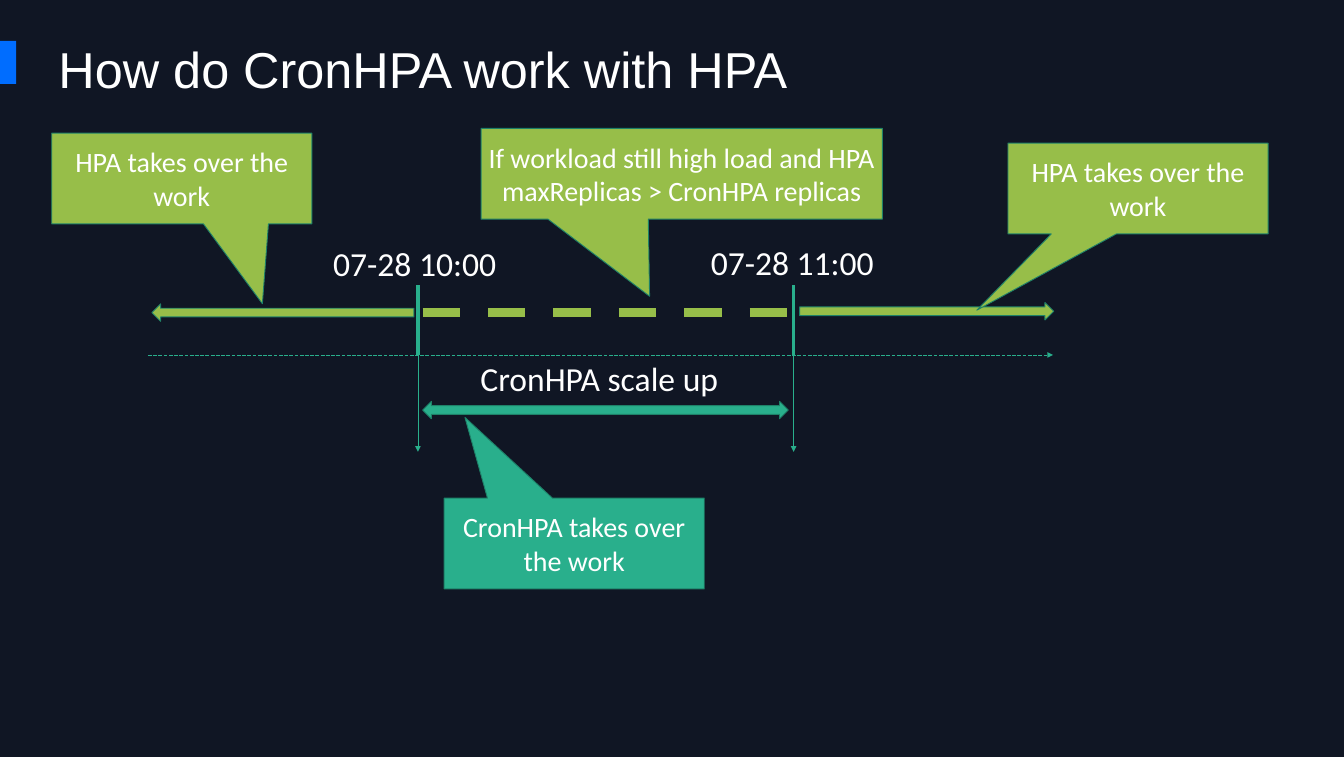
from dataclasses import dataclass

from lxml import etree
from pptx import Presentation
from pptx import util as u
from pptx.dml.color import RGBColor
from pptx.enum import dml, shapes, text
from pptx.oxml.ns import qn


@dataclass(frozen=True)
class Theme:
    background: RGBColor = RGBColor(0x10, 0x16, 0x24)
    accent: RGBColor = RGBColor(0x00, 0x6D, 0xFF)
    white: RGBColor = RGBColor(0xFF, 0xFF, 0xFF)
    hpa: RGBColor = RGBColor(0x97, 0xBE, 0x49)
    cron: RGBColor = RGBColor(0x29, 0xAF, 0x8C)
    outline: RGBColor = RGBColor(0x1E, 0x81, 0x68)
    title_font: str = "Arial"
    body_font: str = "Calibri"
    title_size: int = 54
    label_size: int = 36
    callout_size: int = 30


theme = Theme()
prs = Presentation()
prs.slide_width, prs.slide_height = u.Inches(20), u.Inches(11.26)
COL = prs.slide_width / 200    # grid of 200 columns
ROW = prs.slide_height / 112.6  # and 112.6 square rows


def grid(*cells):
    """Turn alternating column and row counts into lengths."""
    return [u.Emu(round(n * (ROW if i % 2 else COL))) for i, n in enumerate(cells)]


def write(sp, words, size, font=theme.body_font, align=None, anchor=None, wrap=True):
    tf = sp.text_frame
    tf.word_wrap = wrap
    tf.vertical_anchor = anchor
    p = tf.paragraphs[0]
    p.alignment = align
    r = p.add_run()
    r.text = words
    r.font.size, r.font.name = u.Pt(size), font
    r.font.color.rgb = theme.white


s = prs.slides.add_slide(prs.slide_layouts[5])
s.background.fill.solid()
s.background.fill.fore_color.rgb = theme.background

title = s.shapes.title
title.left, title.top, title.width, title.height = grid(7.7, 5.1, 155, 10.1)
write(title, "How do CronHPA work with HPA", theme.title_size, theme.title_font,
      text.PP_ALIGN.LEFT, text.MSO_ANCHOR.TOP)

# Time axis, the two schedule marks and the dashed stretch between them
START, END, AXIS = 62.2, 118.1, 52.8
dash = dml.MSO_LINE
lines = [((22, AXIS, 156.7, AXIS), theme.cron, 0.5, dash.LONG_DASH, True),
         ((62.9, 46.5, 117.3, 46.5), theme.hpa, 10, dash.DASH, False)]
for x in (START, END):
    lines += [((x, 42.4, x, AXIS), theme.cron, 4, None, False),
              ((x, AXIS, x, 67.2), theme.cron, 0.5, None, True)]
for ends, color, weight, style, arrow in lines:
    line = s.shapes.add_connector(shapes.MSO_CONNECTOR.STRAIGHT, *grid(*ends))
    line.line.color.rgb = color
    line.line.width = u.Pt(weight)
    line.line.dash_style = style
    if arrow:
        ln = line.line._get_or_add_ln()
        etree.SubElement(ln, qn("a:tailEnd")).set("type", "triangle")
    etree.SubElement(line._element.spPr, qn("a:effectLst"))

for words, x, y, width in [("07-28 10:00", 48.6, 35.6, 26.5),
                           ("07-28 11:00", 104.8, 35.5, 26.5),
                           ("CronHPA scale up", 70.5, 52.7, 37.7)]:
    label = s.shapes.add_textbox(*grid(x, y, width, 7.1))
    write(label, words, theme.label_size, wrap=False)

# Accent bar, span arrows and callouts: kind, place, fill, outline, pointer, words
kind = shapes.MSO_SHAPE
callout = kind.RECTANGULAR_CALLOUT
hpa_words = "HPA takes over the work"
blocks = [
    (kind.RECTANGLE, (0, 6.1, 2.4, 6.4), theme.accent, None, None, None),
    (kind.LEFT_RIGHT_ARROW, (62.9, 59.7, 54.4, 2.6), theme.cron, theme.outline, None, None),
    (kind.RIGHT_ARROW, (119, 45, 37.8, 2.6), theme.hpa, theme.outline, None, None),
    (kind.LEFT_ARROW, (22.6, 45.2, 39, 2.6), theme.hpa, theme.outline, None, None),
    (callout, (66.1, 74.1, 38.7, 13.5), theme.cron, theme.outline, (-0.42, -1.39),
     "CronHPA takes over the work"),
    (callout, (150, 21.3, 38.7, 13.5), theme.hpa, theme.outline, (-0.62, 1.34), hpa_words),
    (callout, (7.7, 19.8, 38.7, 13.5), theme.hpa, theme.outline, (0.31, 1.38), hpa_words),
    (callout, (71.6, 19.1, 59.7, 13.5), theme.hpa, theme.outline, (-0.08, 1.35),
     "If workload still high load and HPA maxReplicas > CronHPA replicas"),
]
for shape_kind, place, fill, outline, pointer, words in blocks:
    sp = s.shapes.add_shape(shape_kind, *grid(*place))
    sp.shadow.inherit = False
    sp.fill.solid()
    sp.fill.fore_color.rgb = fill
    if outline:
        sp.line.color.rgb = outline
        sp.line.width = u.Pt(1)
    else:
        sp.line.fill.background()
    if words:
        sp.adjustments[0], sp.adjustments[1] = pointer
        write(sp, words, theme.callout_size, align=text.PP_ALIGN.CENTER,
              anchor=text.MSO_ANCHOR.MIDDLE)

prs.save("out.pptx")
